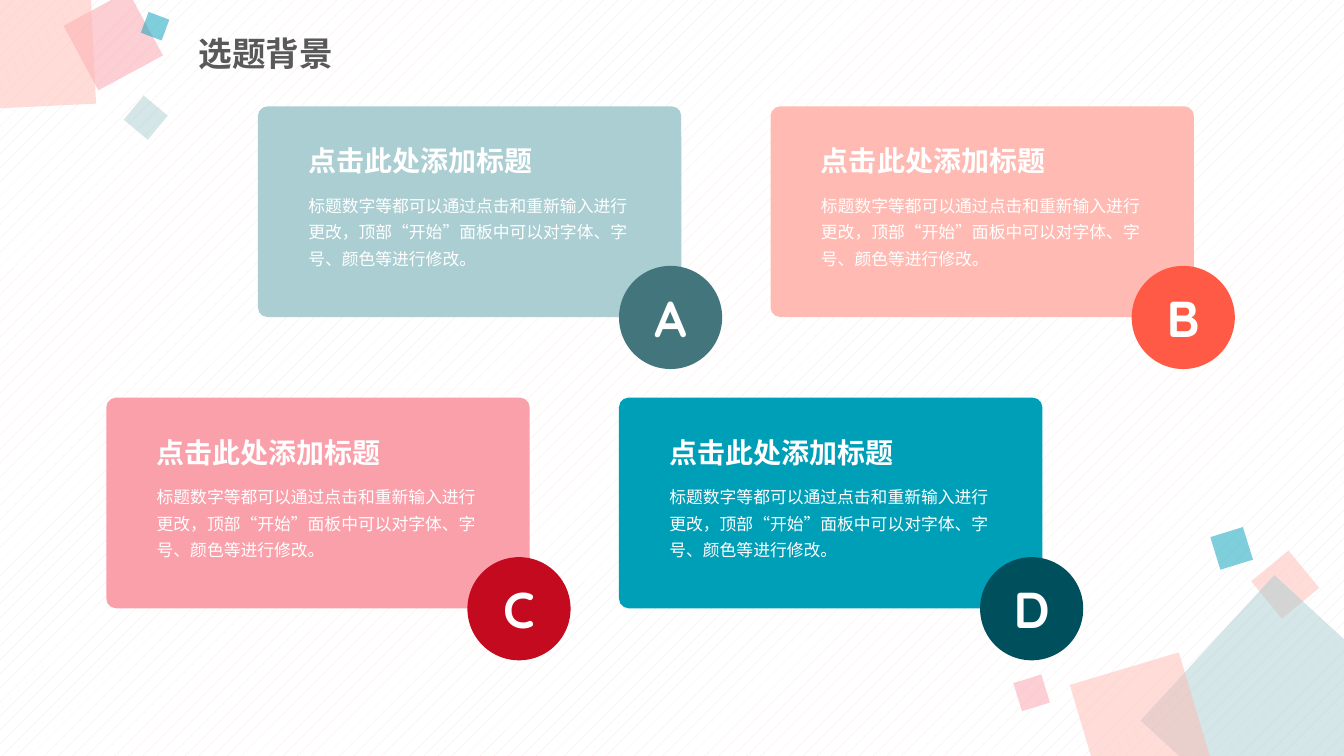
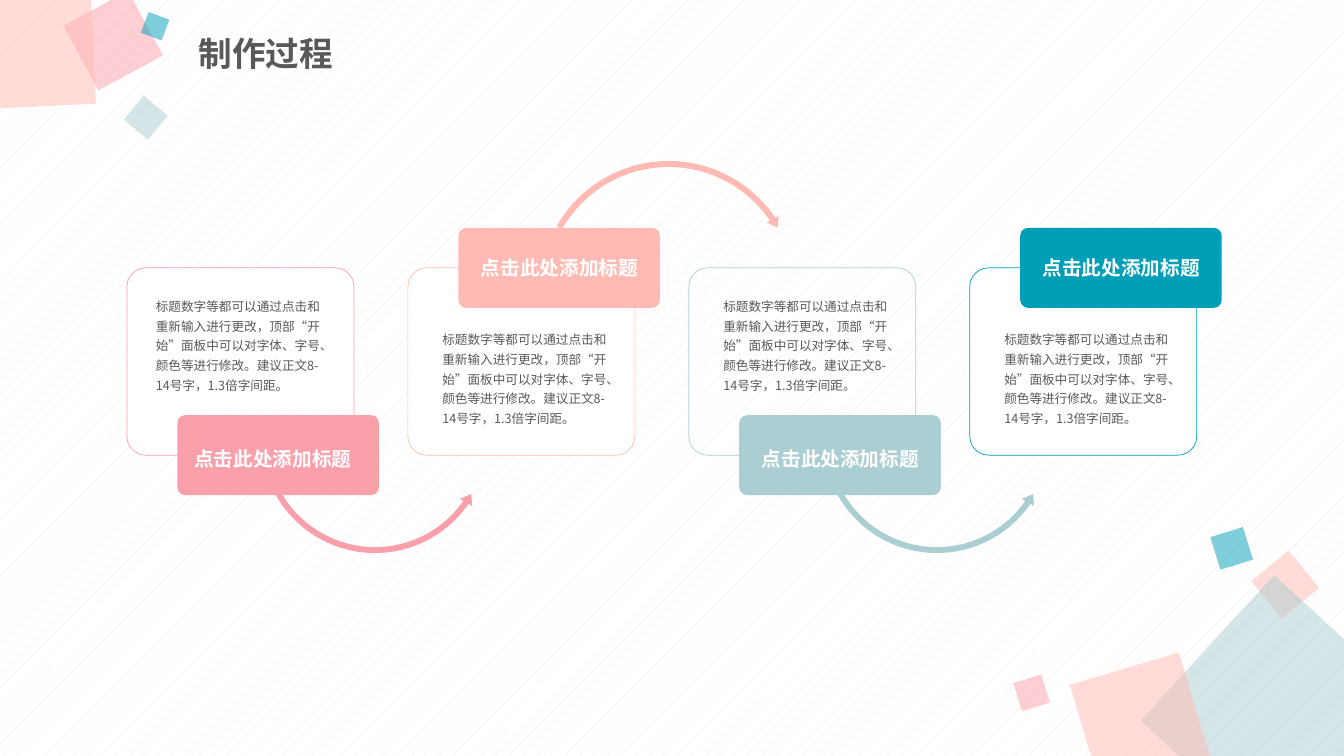
from dataclasses import dataclass

from lxml.etree import SubElement
from pptx import Presentation
from pptx.dml.color import RGBColor
from pptx.enum.dml import MSO_PATTERN
from pptx.enum.shapes import MSO_SHAPE
from pptx.enum.text import MSO_ANCHOR, MSO_AUTO_SIZE, PP_ALIGN
from pptx.oxml.ns import qn
from pptx.shapes.autoshape import Shape
from pptx.slide import Slide, SlideLayout
from pptx.text.text import TextFrame
from pptx.util import Cm, Pt

COLORS = {
    "white": "FFFFFF", "dots": "F5E5E4", "ink": "595959",
    "mist": "AACED2", "peach": "FFBBB3", "pink": "FAA0AA", "teal": "009FB8",
    "slate": "42767C", "coral": "FF5A46", "crimson": "C30A1F", "deep": "004F5C",
}
CJK_FONT = "Noto Sans CJK SC"
ACCENT_FONT = "Quicksand"
HEADING = "点击此处添加标题"
ADVICE = "标题数字等都可以通过点击和重新输入进行更改，顶部“开始”面板中可以对字体、字号、颜色等进行修改。"
LONG_ADVICE = ADVICE + "建议正文8-14号字，1.3倍字间距。"


@dataclass(frozen=True)
class Box:
    left: float
    top: float
    width: float
    height: float

    def lengths(self) -> tuple[Cm, Cm, Cm, Cm]:
        return Cm(self.left), Cm(self.top), Cm(self.width), Cm(self.height)


@dataclass(frozen=True)
class TextStyle:
    size: float
    color: str
    font: str = CJK_FONT
    bold: bool = False
    align: PP_ALIGN = PP_ALIGN.LEFT
    spacing: float = 1.3


@dataclass(frozen=True)
class Confetti:
    left: float
    top: float
    side: float
    rotation: float
    color: str


@dataclass(frozen=True)
class Card:
    letter: str
    color: str
    badge_color: str


@dataclass(frozen=True)
class Level:
    tab_top: float
    heading_top: float
    body_top: float
    arrow_shape: MSO_SHAPE
    arrow_shift: float
    arrow_top: float
    arrow_side: float
    arrow_bends: tuple[float, ...]


@dataclass(frozen=True)
class Step:
    color: str
    level: Level
    text_shift: float = 0.62
    filled: bool = True
    arrow: bool = True


TITLE_BOX = Box(4.75, 0.66, 15.57, 1.47)
TITLE_STYLE = TextStyle(24, "ink", bold=True, spacing=0.9)
CARD_HEADING = TextStyle(20, "white", ACCENT_FONT, bold=True)
CARD_BODY = TextStyle(12, "white")
BADGE = TextStyle(36, "white", ACCENT_FONT, True, PP_ALIGN.CENTER, 1.0)
STEP_HEADING = TextStyle(14, "white", ACCENT_FONT, True, PP_ALIGN.CENTER)
STEP_BODY = TextStyle(9, "ink")

CONFETTI = (
    Confetti(31.78, 14.12, 1.22, 320.6, "peach"),
    Confetti(29.77, 15.52, 4.98, 42.6, "mist"),
    Confetti(27.31, 16.79, 2.87, 343.4, "peach"),
    Confetti(25.63, 17.09, 0.74, 342.8, "pink"),
    Confetti(30.61, 13.39, 0.86, 342.8, "teal"),
    Confetti(1.93, 0.1, 1.85, 331.6, "pink"),
    Confetti(-1.17, -0.81, 3.51, 357.2, "peach"),
    Confetti(3.28, 2.57, 0.79, 309.8, "mist"),
    Confetti(3.63, 0.38, 0.56, 290.5, "teal"),
)

CARDS = (
    Card("A", "mist", "slate"),
    Card("B", "peach", "coral"),
    Card("C", "pink", "crimson"),
    Card("D", "teal", "deep"),
)

LOW = Level(10.46, 10.97, 7.29, MSO_SHAPE.LEFT_CIRCULAR_ARROW,
            3.28, 8.1, 5.94, (0.025, 3.09, 20.85, 90.25, 0.03))
HIGH = Level(5.74, 6.15, 8.13, MSO_SHAPE.CIRCULAR_ARROW,
             3.23, 3.96, 6.68, (0.023, 2.74, 195.51, 125.76, 0.026))

STEPS = (
    Step("pink", LOW, text_shift=0.48),
    Step("peach", HIGH),
    Step("mist", LOW, filled=False),
    Step("teal", HIGH, arrow=False),
)


def rgb(color: str) -> RGBColor:
    return RGBColor.from_string(COLORS[color])


def write(frame: TextFrame, text: str, style: TextStyle) -> None:
    frame.text = text
    paragraph = frame.paragraphs[0]
    paragraph.alignment = style.align
    paragraph.line_spacing = style.spacing
    for run in paragraph.runs:
        run.font.size = Pt(style.size)
        run.font.bold = style.bold
        run.font.color.rgb = rgb(style.color)
        run.font.name = style.font
        properties = run._r.get_or_add_rPr()
        properties.set("lang", "zh-CN")
        SubElement(properties, qn("a:ea"), typeface=CJK_FONT)


def add_figure(slide: Slide, kind: MSO_SHAPE, box: Box, fill: str | None,
               opacity: int = 100, line: str | None = None,
               bends: tuple[float, ...] = ()) -> Shape:
    figure = slide.shapes.add_shape(kind, *box.lengths())
    figure.shadow.inherit = False
    if fill:
        figure.fill.solid()
        figure.fill.fore_color.rgb = rgb(fill)
        if opacity < 100:
            color = figure.element.spPr.find(qn("a:solidFill"))[0]
            SubElement(color, qn("a:alpha"), val=str(opacity * 1000))
    else:
        figure.fill.background()
    if line:
        figure.line.color.rgb = rgb(line)
        figure.line.width = Pt(0.5)
    else:
        figure.line.fill.background()
    for index, bend in enumerate(bends):
        figure.adjustments[index] = bend
    return figure


def add_text(slide: Slide, box: Box, text: str, style: TextStyle, wrap: bool = True) -> None:
    frame = slide.shapes.add_textbox(*box.lengths()).text_frame
    frame.word_wrap = wrap
    frame.auto_size = MSO_AUTO_SIZE.SHAPE_TO_FIT_TEXT
    write(frame, text, style)


def prepare_layout(layout: SlideLayout) -> None:
    background = layout.slide_master.background.fill
    background.patterned()
    background.pattern = MSO_PATTERN.PERCENT_5
    background.fore_color.rgb = rgb("dots")
    background.back_color.rgb = rgb("white")
    title = layout.placeholders[0]
    title.left, title.top, title.width, title.height = TITLE_BOX.lengths()
    title.text_frame.vertical_anchor = MSO_ANCHOR.MIDDLE
    title.text_frame.auto_size = MSO_AUTO_SIZE.NONE


def move_confetti_to_layout(slide: Slide) -> None:
    for number, piece in enumerate(CONFETTI, start=101):
        square = add_figure(slide, MSO_SHAPE.RECTANGLE,
                            Box(piece.left, piece.top, piece.side, piece.side),
                            piece.color, opacity=50)
        square.rotation = piece.rotation
        square.element.nvSpPr.cNvPr.set("id", str(number))
        slide.slide_layout.shapes.element.append(square.element)


def add_titled_slide(deck: Presentation, layout: SlideLayout, title: str) -> Slide:
    slide = deck.slides.add_slide(layout)
    write(slide.shapes.title.text_frame, title, TITLE_STYLE)
    slide.shapes.title.text_frame.paragraphs[0].space_before = Pt(10)
    return slide


def draw_card(slide: Slide, card: Card, left: float, top: float) -> None:
    add_figure(slide, MSO_SHAPE.ROUNDED_RECTANGLE, Box(left, top, 10.67, 5.31),
               card.color, bends=(0.046,))
    badge = add_figure(slide, MSO_SHAPE.OVAL, Box(left + 9.1, top + 4.02, 2.6, 2.6),
                       card.badge_color)
    badge.text_frame.vertical_anchor = MSO_ANCHOR.MIDDLE
    write(badge.text_frame, card.letter, BADGE)
    add_text(slide, Box(left + 1.02, top + 1.98, 8.81, 2.26), ADVICE, CARD_BODY)
    add_text(slide, Box(left + 1.02, top + 0.57, 6.22, 1.37), HEADING, CARD_HEADING, wrap=False)


def draw_step(slide: Slide, step: Step, left: float) -> None:
    level = step.level
    add_figure(slide, MSO_SHAPE.ROUNDED_RECTANGLE, Box(left, 6.75, 5.72, 4.72),
               "white" if step.filled else None, opacity=90, line=step.color, bends=(0.1,))
    if step.arrow:
        add_figure(slide, level.arrow_shape,
                   Box(left + level.arrow_shift, level.arrow_top,
                       level.arrow_side, level.arrow_side),
                   step.color, bends=level.arrow_bends)
    add_figure(slide, MSO_SHAPE.ROUNDED_RECTANGLE, Box(left + 1.27, level.tab_top, 5.08, 2.02),
               step.color, bends=(0.1,))
    text_left = left + step.text_shift
    add_text(slide, Box(text_left, level.body_top, 4.78, 2.77), LONG_ADVICE, STEP_BODY)
    add_text(slide, Box(text_left + 0.81, level.heading_top, 4.78, 1.04), HEADING, STEP_HEADING)


def main() -> None:
    deck = Presentation()
    deck.slide_width, deck.slide_height = Cm(33.87), Cm(19.05)
    layout = deck.slide_layouts[5]
    prepare_layout(layout)

    topic = add_titled_slide(deck, layout, "选题背景")
    move_confetti_to_layout(topic)
    for index, card in enumerate(CARDS):
        row, column = divmod(index, 2)
        draw_card(topic, card, 6.5 - 3.82 * row + 12.92 * column, 2.68 + 7.34 * row)

    process = add_titled_slide(deck, layout, "制作过程")
    for index, step in enumerate(STEPS):
        draw_step(process, step, 3.2 + 7.08 * index)

    deck.save("out.pptx")


main()
